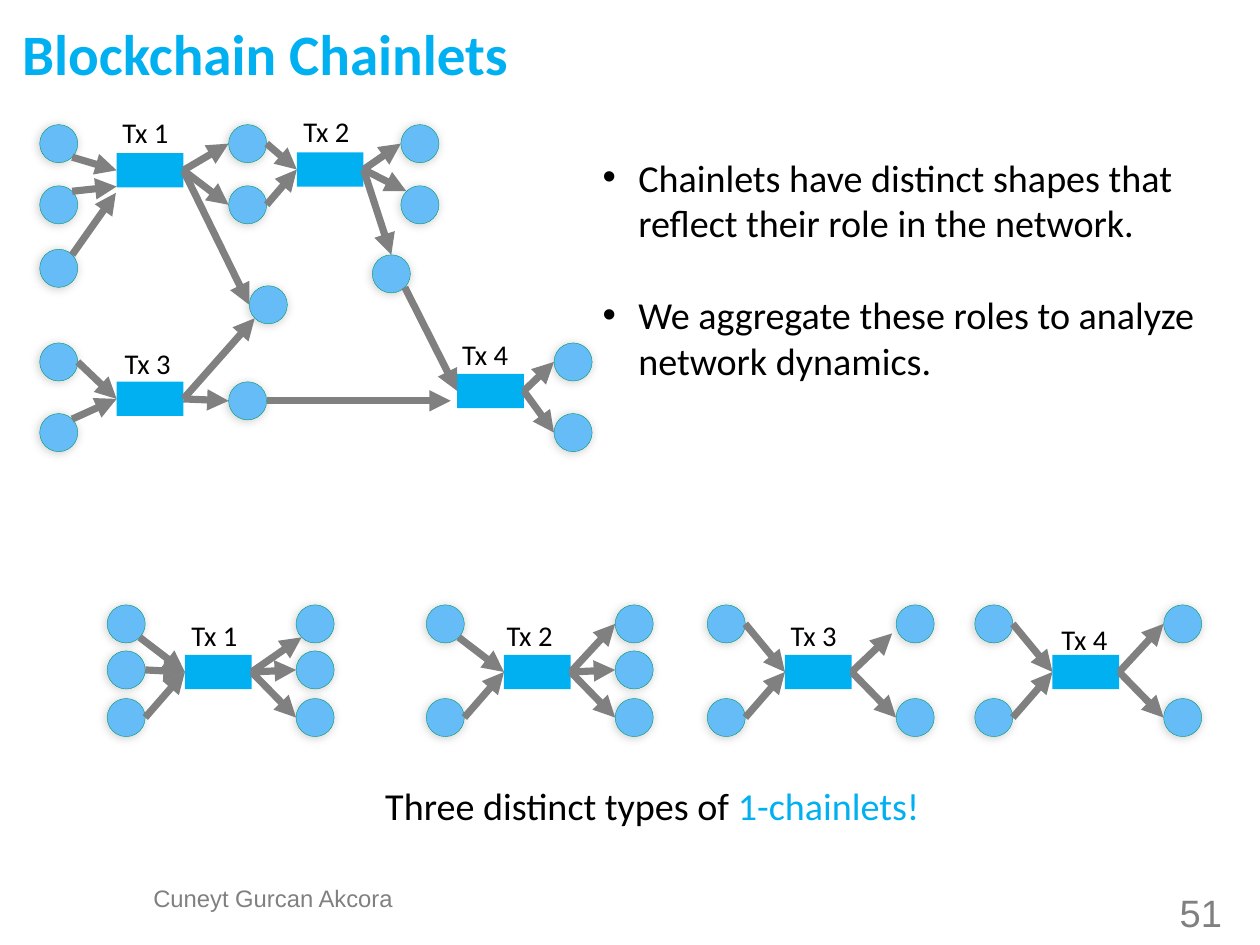
from lxml import etree
from pptx import Presentation
from pptx import util as u
from pptx.dml.color import RGBColor
from pptx.enum import shapes as kinds, text as txt
from pptx.oxml.ns import qn

Pt = u.Pt
BRIGHT, ADDRESS, RIM, GRAY, BLACK = "00B0F0", "66BCF6", "009771", "808080", "000000"
COIN = 24               # diameter of an address circle
TX_W, TX_H = 42, 21.6   # transaction box
DIAGONAL = 0.71
SIDES = {"n": (0, -1), "e": (1, 0), "w": (-1, 0),
         "ne": (DIAGONAL, -DIAGONAL), "se": (DIAGONAL, DIAGONAL),
         "nw": (-DIAGONAL, -DIAGONAL), "sw": (-DIAGONAL, DIAGONAL)}


def color(value):
    return RGBColor.from_string(value)


def add_xml(parent, tag, **attributes):
    return etree.SubElement(parent, qn(tag), attributes)


def style(paragraph, size, hue, face="Calibri", bold=False):
    font = paragraph.font
    font.name, font.size, font.bold = face, Pt(size), bold
    font.color.rgb = color(hue)


def text_frame(slide, x, y, w, h, inset=True):
    frame = slide.shapes.add_textbox(Pt(x), Pt(y), Pt(w), Pt(h)).text_frame
    frame.word_wrap = True
    if not inset:
        frame.margin_left = frame.margin_right = frame.margin_top = frame.margin_bottom = 0
    return frame


def add_address(shapes, x, y):
    circle = shapes.add_shape(kinds.MSO_SHAPE.OVAL, Pt(x), Pt(y), Pt(COIN), Pt(COIN))
    circle.fill.solid()
    circle.fill.fore_color.rgb = color(ADDRESS)
    circle.line.color.rgb = color(RIM)
    circle.line.width = Pt(0.25)
    circle.shadow.inherit = False
    effects = circle._element.spPr.find(qn("a:effectLst"))
    shadow = add_xml(effects, "a:outerShdw", blurRad=str(Pt(6)), dist=str(Pt(1)),
                     dir="8100000", rotWithShape="0")
    add_xml(add_xml(shadow, "a:srgbClr", val=BLACK), "a:alpha", val="20000")


def add_transaction(shapes, x, y):
    box = shapes.add_shape(kinds.MSO_SHAPE.RECTANGLE, Pt(x), Pt(y), Pt(TX_W), Pt(TX_H))
    box.fill.solid()
    box.fill.fore_color.rgb = color(BRIGHT)
    box.line.fill.background()
    box.shadow.inherit = False
    return box


def add_label(slide, x, y, number):
    paragraph = text_frame(slide, x, y, 65, 29).paragraphs[0]
    paragraph.text = f"Tx {number}"
    style(paragraph, 18, BLACK)


def rim_point(x, y, side):
    dx, dy = SIDES[side]
    radius = COIN / 2
    return x + radius * (1 + dx), y + radius * (1 + dy)


def add_arrow(shapes, start, end, source=None, target=None):
    """Arrow from start to end; source and target are transactions to join."""
    arrow = shapes.add_connector(kinds.MSO_CONNECTOR.STRAIGHT, *map(Pt, start + end))
    if source is not None:
        arrow.begin_connect(source, 3)
    if target is not None:
        arrow.end_connect(target, 1)
    arrow.line.color.rgb = color(GRAY)
    arrow.line.width = Pt(4.5)
    add_xml(arrow.line._get_or_add_ln(), "a:tailEnd", type="triangle")
    add_xml(arrow._element.spPr, "a:effectLst")


def add_title(slide, x, y, w, h):
    title = slide.shapes.title
    title.left, title.top, title.width, title.height = map(Pt, (x, y, w, h))
    frame = title.text_frame
    frame.text = "Blockchain Chainlets"
    frame.auto_size = txt.MSO_AUTO_SIZE.NONE
    frame.vertical_anchor = txt.MSO_ANCHOR.TOP
    frame.margin_left = frame.margin_right = frame.margin_top = frame.margin_bottom = 0
    heading = frame.paragraphs[0]
    heading.alignment = txt.PP_ALIGN.LEFT
    heading.line_spacing = 1.02
    style(heading, 36, BRIGHT, bold=True)


def add_network(slide, x, y):
    """Transaction graph with its top left address at x, y."""
    shapes = slide.shapes
    addresses = {
        "in1": (0, 0), "in2": (0, 38.5), "in3": (0, 78.5), "in4": (0, 137.5), "in5": (0, 182),
        "mid1": (119, 0), "mid2": (119, 38.5), "mid3": (119, 162), "merge": (132, 101.5),
        "out1": (227.5, 0), "out2": (227.5, 38.5), "bridge": (209.5, 82),
        "out3": (324, 137.5), "out4": (324, 182)}
    addresses = {name: (x + dx, y + dy) for name, (dx, dy) in addresses.items()}
    for place in addresses.values():
        add_address(shapes, *place)

    # Transactions: offset in the graph, then label offset from the box
    transactions = {}
    for number, dx, dy, label_dx, label_dy in (
            (1, 48.5, 18, -3.5, -27.5), (2, 162, 17.5, -3, -27.5),
            (3, 48.5, 162, -2, -26), (4, 263, 157, -4, -27)):
        transactions[number] = add_transaction(shapes, x + dx, y + dy)
        add_label(slide, x + dx + label_dx, y + dy + label_dy, number)

    # Spending and receiving arrows
    for name, side, number in (
            ("in1", "se", 1), ("in4", "e", 3), ("in5", "ne", 3),
            ("mid1", "e", 2), ("mid2", "e", 2), ("bridge", "se", 4)):
        add_arrow(shapes, rim_point(*addresses[name], side), (x, y),
                  target=transactions[number])
    for number, name, side in (
            (1, "mid1", "w"), (1, "mid2", "w"), (1, "merge", "w"),
            (2, "out1", "w"), (2, "out2", "nw"), (2, "bridge", "n"),
            (3, "merge", "sw"), (3, "mid3", "w"), (4, "out3", "w"), (4, "out4", "w")):
        add_arrow(shapes, (x, y), rim_point(*addresses[name], side),
                  source=transactions[number])

    # Arrows that stop short of a side's middle
    for name, side, dx, dy in (("in2", "ne", 48.5, 39), ("in3", "ne", 48, 43),
                               ("mid3", "e", 259, 174)):
        add_arrow(shapes, rim_point(*addresses[name], side), (x + dx, y + dy))


def add_chainlet(slide, x, y, number, inputs, outputs, label_offset):
    """One transaction with (row, side) lists of its inputs and outputs."""
    shapes = slide.shapes.add_group_shape().shapes
    rows = (0, 29, 59)
    tx_x, tx_y, out_x = x + 49, y + 31.5, x + 119
    transaction = add_transaction(shapes, tx_x, tx_y)
    for row, side in inputs:
        add_address(shapes, x, y + rows[row])
        add_arrow(shapes, rim_point(x, y + rows[row], side), (tx_x, tx_y), target=transaction)
    for row, side in outputs:
        add_address(shapes, out_x, y + rows[row])
        end = rim_point(out_x, y + rows[row], side) if side else (x + 116.5, y + 18)
        add_arrow(shapes, (tx_x, tx_y), end, source=transaction)
    add_label(slide, tx_x + label_offset[0], tx_y + label_offset[1], number)


def add_findings(slide, x, y, w, h):
    frame = text_frame(slide, x, y, w, h)
    findings = ("Chainlets have distinct shapes that reflect their role in the network.",
                "We aggregate these roles to analyze network dynamics.")
    for index, finding in enumerate(findings):
        paragraph = frame.add_paragraph() if index else frame.paragraphs[0]
        paragraph.text = finding
        properties = paragraph._p.get_or_add_pPr()
        properties.set("marL", str(Pt(22.5)))
        properties.set("indent", str(-Pt(22.5)))
        add_xml(properties, "a:buFont", typeface="Arial")
        add_xml(properties, "a:buChar", char="•")
        if index:
            paragraph.space_before = Pt(29)
        style(paragraph, 24, BLACK)


def add_conclusion(slide, x, y, w, h):
    paragraph = text_frame(slide, x, y, w, h).paragraphs[0]
    paragraph.alignment = txt.PP_ALIGN.CENTER
    style(paragraph, 24, BLACK)
    paragraph.add_run().text = "Three distinct types of "
    term = paragraph.add_run()
    term.text = "1-chainlets!"
    term.font.color.rgb = color(BRIGHT)


def add_footer(slide, x, y, w, h, words, size):
    paragraph = text_frame(slide, x, y, w, h, inset=False).paragraphs[0]
    paragraph.text = words
    paragraph.alignment = txt.PP_ALIGN.CENTER
    paragraph.line_spacing = 0.93
    style(paragraph, size, GRAY, "Arial")


def main():
    deck = Presentation()
    deck.slide_width, deck.slide_height = Pt(793.7), Pt(595.28)
    slide = deck.slides.add_slide(deck.slide_layouts[5])
    add_title(slide, 14, 10.5, 714, 39.5)
    add_network(slide, 25, 78.5)
    add_findings(slide, 372.5, 93.5, 410.5, 152.5)

    # Row of chainlets
    pair_in, pair_out = [(0, "e"), (2, "e")], [(0, "w"), (2, "w")]
    for x, number, inputs, outputs, label_offset in (
            (67.5, 1, [(0, "se"), (1, "e"), (2, "e")],
             [(0, "sw"), (1, "w"), (2, "w")], (-3, -26.5)),
            (268.5, 2, [(0, "se"), (2, "e")],
             [(0, "w"), (1, "w"), (2, "w")], (-5.5, -27)),
            (445.5, 3, pair_in, [(0, None), (2, "w")], (-3.5, -26.5)),
            (614, 4, pair_in, pair_out, (-1.5, -24))):
        add_chainlet(slide, x, 381, number, inputs, outputs, label_offset)

    add_conclusion(slide, 126, 489.5, 570, 36)
    add_footer(slide, 94, 558.5, 156, 26.5, "Cuneyt Gurcan Akcora", 15)
    add_footer(slide, 720.5, 563, 72, 29, "51", 24)
    deck.save("out.pptx")


if __name__ == "__main__":
    main()
